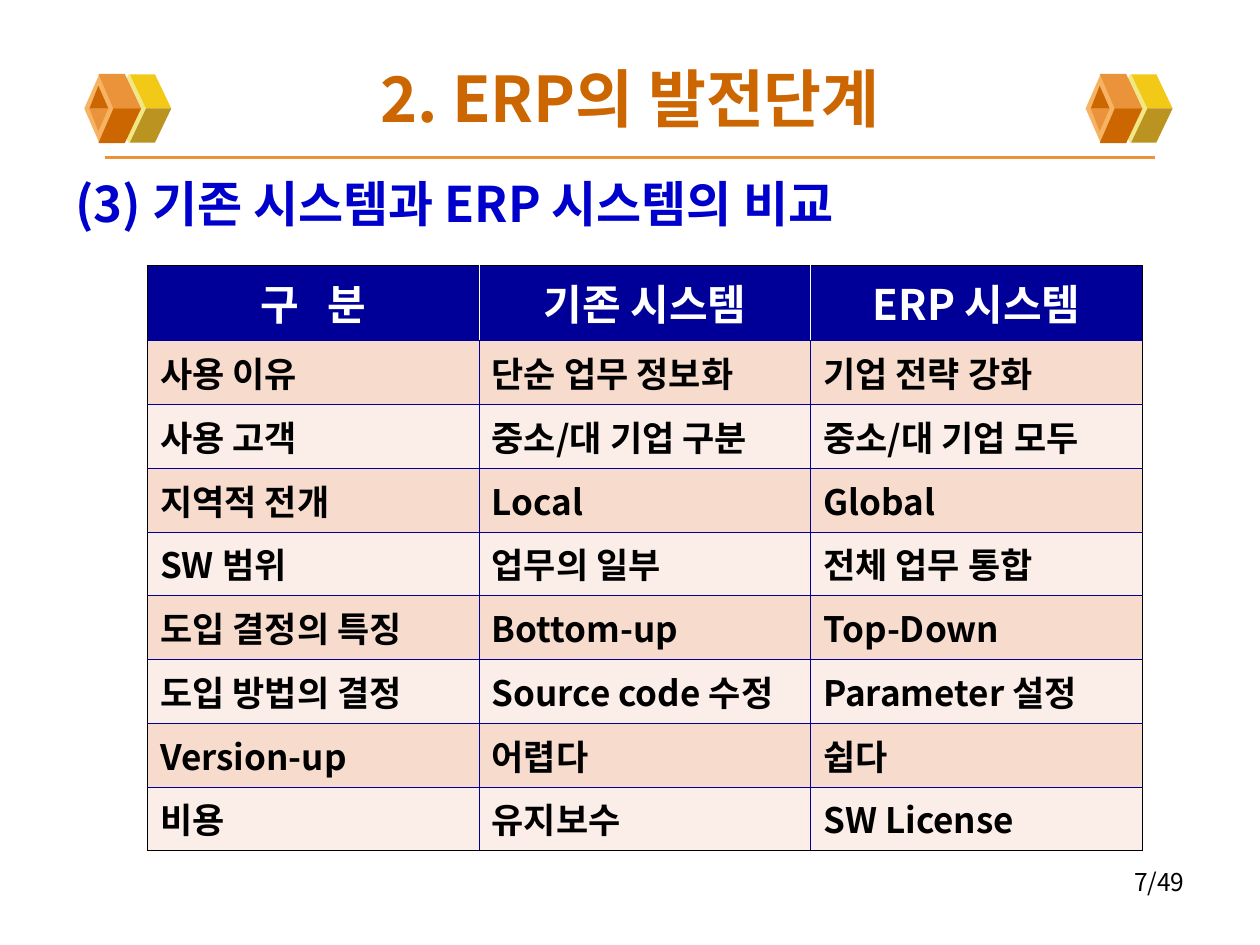
from dataclasses import dataclass

import pptx
import pptx.dml.color
import pptx.enum.shapes
import pptx.enum.text
import pptx.oxml
import pptx.oxml.ns
import pptx.util

Pt = pptx.util.Pt
ALIGN = pptx.enum.text.PP_ALIGN
ANCHOR = pptx.enum.text.MSO_ANCHOR
FONT = "Noto Sans CJK KR"
COLORS = {
    "rust": "CC6600", "orange": "EB933B", "apricot": "F5B363",
    "cream": "F1E785", "yellow": "F3C917", "olive": "BB9321",
    "blue": "0000CC", "navy": "000099", "peach": "F7DCCE",
    "blush": "FBEEE8", "white": "FFFFFF", "black": "000000",
}
COMPARISON = [
    ("구   분", "기존 시스템", "ERP 시스템"),
    ("사용 이유", "단순 업무 정보화", "기업 전략 강화"),
    ("사용 고객", "중소/대 기업 구분", "중소/대 기업 모두"),
    ("지역적 전개", "Local", "Global"),
    ("SW 범위", "업무의 일부", "전체 업무 통합"),
    ("도입 결정의 특징", "Bottom-up", "Top-Down"),
    ("도입 방법의 결정", "Source code 수정", "Parameter 설정"),
    ("Version-up", "어렵다", "쉽다"),
    ("비용", "유지보수", "SW License"),
]


@dataclass(frozen=True)
class TextStyle:
    size: float
    color: str
    bold: bool = True
    align: ALIGN = ALIGN.LEFT


@dataclass(frozen=True)
class Diamond:
    left: float
    width: float
    color: str


@dataclass(frozen=True)
class Face:
    points: tuple[tuple[float, float], ...]
    color: str


CUBE_MIDDLE = 62
CUBE_LEFTS = (48.2, 620.4)
RIGHT_SIDE = ((35.3, 0), (49.7, 0), (40.4, 19.5), (26, 19.5))
LEFT_SIDE = ((16.6, 0), (32.4, 0), (23.1, 19.8), (8, 19.8))
HOLE = ((8, 13), (2.9, 0), (13.7, 0))


def below(points: tuple[tuple[float, float], ...]) -> tuple[tuple[float, float], ...]:
    return tuple((x, -rise) for x, rise in points)


CUBE = (
    Diamond(13.7, 23.8, "cream"),
    Face(RIGHT_SIDE, "yellow"),
    Face(below(RIGHT_SIDE), "olive"),
    Diamond(0, 17.3, "apricot"),
    Face(LEFT_SIDE, "orange"),
    Face(below(LEFT_SIDE), "rust"),
    Face(HOLE, "rust"),
    Face(below(HOLE), "orange"),
)


def rgb(color: str) -> pptx.dml.color.RGBColor:
    return pptx.dml.color.RGBColor.from_string(COLORS[color])


def write(frame, text: str, style: TextStyle) -> None:
    frame.text = text
    paragraph = frame.paragraphs[0]
    paragraph.alignment = style.align
    for run in paragraph.runs:
        run.font.name = FONT
        run.font.size = Pt(style.size)
        run.font.bold = style.bold
        run.font.color.rgb = rgb(style.color)
        east_asian = pptx.oxml.parse_xml(
            f'<a:ea {pptx.oxml.ns.nsdecls("a")} typeface="{FONT}"/>')
        run.font._element.find(pptx.oxml.ns.qn("a:latin")).addnext(east_asian)


def add_text(slide, left: float, top: float, width: float, height: float,
             text: str, style: TextStyle, anchor=ANCHOR.TOP):
    frame = slide.shapes.add_textbox(
        Pt(left), Pt(top), Pt(width), Pt(height)).text_frame
    frame.word_wrap = True
    frame.vertical_anchor = anchor
    write(frame, text, style)


def add_cube(slide, left: float) -> None:
    for part in CUBE:
        if isinstance(part, Diamond):
            piece = slide.shapes.add_shape(
                pptx.enum.shapes.MSO_SHAPE.DIAMOND, Pt(left + part.left),
                Pt(CUBE_MIDDLE - 19.8), Pt(part.width), Pt(39.6))
        else:
            corners = [(Pt(left + x), Pt(CUBE_MIDDLE - rise)) for x, rise in part.points]
            outline = slide.shapes.build_freeform(*corners[0])
            outline.add_line_segments(corners[1:], close=True)
            piece = outline.convert_to_shape()
        piece.shadow.inherit = False
        piece.fill.solid()
        piece.fill.fore_color.rgb = rgb(part.color)
        piece.line.fill.background()


def add_rule(slide) -> None:
    rule = slide.shapes.add_connector(
        pptx.enum.shapes.MSO_CONNECTOR.STRAIGHT, Pt(60), Pt(90), Pt(660), Pt(90))
    rule.line.color.rgb = rgb("orange")
    rule.line.width = Pt(2.25)
    rule._element.spPr.append(
        pptx.oxml.parse_xml(f'<a:effectLst {pptx.oxml.ns.nsdecls("a")}/>'))


def set_borders(cell, sides: dict[str, str]) -> None:
    properties = cell._tc.get_or_add_tcPr()
    for position, (side, color) in enumerate(sides.items()):
        properties.insert(position, pptx.oxml.parse_xml(
            f'<a:{side} {pptx.oxml.ns.nsdecls("a")} w="{Pt(0.45)}"><a:solidFill>'
            f'<a:srgbClr val="{COLORS[color]}"/></a:solidFill></a:{side}>'))


def add_comparison(slide) -> None:
    last_row, last_column = len(COMPARISON) - 1, len(COMPARISON[0]) - 1
    table = slide.shapes.add_table(
        last_row + 1, last_column + 1, Pt(84.3), Pt(151.8), Pt(568.5), Pt(334.5)).table
    for column in table.columns:
        column.width = Pt(189.5)
    for r, labels in enumerate(COMPARISON):
        header = r == 0
        table.rows[r].height = Pt(42.9 if header else 36.45)
        style = (TextStyle(24, "white", align=ALIGN.CENTER) if header
                 else TextStyle(20, "black"))
        fill = "navy" if header else ("peach" if r % 2 else "blush")
        divider = "white" if header else "navy"
        for c, label in enumerate(labels):
            cell = table.cell(r, c)
            write(cell.text_frame, label, style)
            cell.fill.solid()
            cell.fill.fore_color.rgb = rgb(fill)
            set_borders(cell, {
                "lnL": "black" if c == 0 else divider,
                "lnR": "black" if c == last_column else divider,
                "lnT": "black" if header else "navy",
                "lnB": "black" if r == last_row else "navy",
            })


def main() -> None:
    deck = pptx.Presentation()
    deck.slide_width, deck.slide_height = Pt(720), Pt(540)
    slide = deck.slides.add_slide(deck.slide_layouts[6])
    add_rule(slide)
    for left in CUBE_LEFTS:
        add_cube(slide, left)
    add_text(slide, 36, 21.6, 648, 68.4, "2. ERP의 발전단계",
             TextStyle(36, "rust", align=ALIGN.CENTER), ANCHOR.MIDDLE)
    add_text(slide, 36, 95.8, 648, 386.6, "(3) 기존 시스템과 ERP 시스템의 비교",
             TextStyle(28, "blue"))
    add_comparison(slide)
    add_text(slide, 516, 491.8, 168, 21.6, "7/49",
             TextStyle(14, "black", bold=False, align=ALIGN.RIGHT))
    deck.save("out.pptx")


if __name__ == "__main__":
    main()
